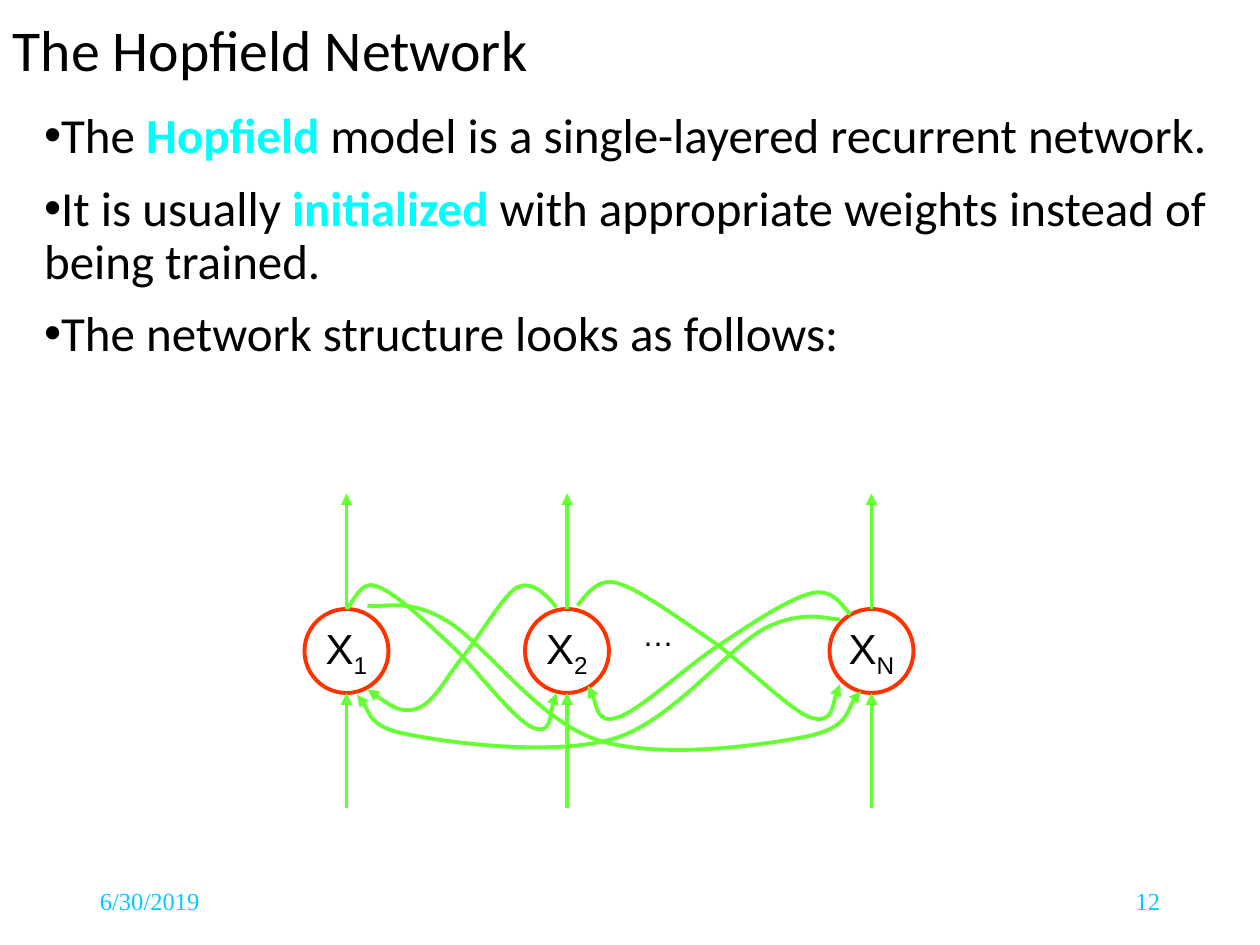
from lxml.etree import SubElement
from pptx import Presentation
from pptx.dml.color import RGBColor
from pptx.enum.shapes import MSO_CONNECTOR, MSO_SHAPE
from pptx.enum.text import MSO_ANCHOR, MSO_AUTO_SIZE, PP_ALIGN
from pptx.oxml.ns import qn
from pptx.util import Pt

COLORS = {"text": "000000", "key": "00FFFF", "footer": "00CCFF",
          "node": "FF3300", "link": "66FF33"}


def set_font(font, name, size, color):
    font.name, font.size = name, Pt(size)
    font.color.rgb = RGBColor.from_string(COLORS[color])


def style_arrow(arrow):
    arrow.line.color.rgb = RGBColor.from_string(COLORS["link"])
    arrow.line.width = Pt(2.25)
    SubElement(arrow.line._get_or_add_ln(), qn("a:tailEnd"), type="triangle")
    properties = arrow._element.spPr
    if properties.find(qn("a:effectLst")) is None:
        SubElement(properties, qn("a:effectLst"))


prs = Presentation()
prs.slide_width, prs.slide_height = Pt(720), Pt(540)
slide = prs.slides.add_slide(prs.slide_layouts[1])
shapes = slide.shapes

# Title
title = shapes.title
title.left, title.top, title.width, title.height = Pt(0), Pt(0), Pt(720), Pt(60)
title.text_frame.text = "The Hopfield Network"
title.text_frame.auto_size = MSO_AUTO_SIZE.NONE
title.text_frame.vertical_anchor = MSO_ANCHOR.MIDDLE
heading = title.text_frame.paragraphs[0]
heading.alignment = PP_ALIGN.LEFT
heading.line_spacing = 0.9
set_font(heading.font, "Calibri", 33, "text")

# Bullets: each is a list of (wording, is key term)
bullets = [
    [("The ", False), ("Hopfield", True),
     (" model is a single-layered recurrent network.", False)],
    [("It is usually ", False), ("initialized", True),
     (" with appropriate weights instead of being trained.", False)],
    [("The network structure looks as follows:", False)],
]
body = slide.placeholders[1]
body.left, body.top, body.width, body.height = Pt(18), Pt(60), Pt(690), Pt(204)
body.text_frame.auto_size = MSO_AUTO_SIZE.NONE
body.text_frame.vertical_anchor = MSO_ANCHOR.TOP
for i, bullet in enumerate(bullets):
    point = body.text_frame.add_paragraph() if i else body.text_frame.paragraphs[0]
    point.line_spacing = 0.9
    point.space_before, point.space_after = Pt(2.8), Pt(8.4)
    set_font(point.font, "Calibri", 28, "text")
    layout = point._p.get_or_add_pPr()
    layout.set("marL", "0")
    layout.set("indent", "0")
    marker = SubElement(layout, qn("a:buChar"), char="•")
    layout.find(qn("a:defRPr")).addprevious(marker)
    for wording, is_key in bullet:
        run = point.add_run()
        run.text = wording
        set_font(run.font, "Calibri", 28, "key" if is_key else "text")
        run.font.bold = is_key

# Date, page number and the ellipsis between the nodes
labels = [
    ("6/30/2019", 50, 500, 162, 29, "Times New Roman", 14, "footer", PP_ALIGN.LEFT, MSO_ANCHOR.MIDDLE),
    ("12", 508, 500, 162, 29, "Times New Roman", 14, "footer", PP_ALIGN.RIGHT, MSO_ANCHOR.MIDDLE),
    ("…", 360, 348, 60, 42, "Arial", 18, "text", PP_ALIGN.LEFT, MSO_ANCHOR.TOP),
]
for wording, x, y, w, h, face, size, color, align, anchor in labels:
    frame = shapes.add_textbox(Pt(x), Pt(y), Pt(w), Pt(h)).text_frame
    frame.word_wrap = True
    frame.vertical_anchor = anchor
    frame.text = wording
    label = frame.paragraphs[0]
    label.alignment = align
    set_font(label.runs[0].font, face, size, color)

# Nodes with an input arrow below and an output arrow above
NODE_TOP, NODE_SIZE, ARROW = 348, 48, 66
NODE_BOTTOM = NODE_TOP + NODE_SIZE
for subscript, center in [("1", 198), ("2", 324), ("N", 498)]:
    node = shapes.add_shape(MSO_SHAPE.OVAL, Pt(center - NODE_SIZE / 2), Pt(NODE_TOP),
                            Pt(NODE_SIZE), Pt(NODE_SIZE))
    node.shadow.inherit = False
    node.fill.background()
    node.line.color.rgb = RGBColor.from_string(COLORS["node"])
    node.line.width = Pt(2.25)
    node.text_frame.word_wrap = False
    node.text_frame.vertical_anchor = MSO_ANCHOR.MIDDLE
    name = node.text_frame.paragraphs[0]
    name.alignment = PP_ALIGN.CENTER
    for wording in ("X", subscript):
        run = name.add_run()
        run.text = wording
        set_font(run.font, "Arial", 24, "text")
    name.runs[1].font._element.set("baseline", "-25000")
    for start in (NODE_BOTTOM + ARROW, NODE_TOP):
        style_arrow(shapes.add_connector(MSO_CONNECTOR.STRAIGHT, Pt(center), Pt(start),
                                         Pt(center), Pt(start - ARROW)))

# Recurrent links: a start point, then three Bezier points per curve piece
links = [
    [(198, 348), (201, 346), (206, 331), (215, 335), (225, 338), (243, 355), (258, 369),
     (272, 382), (294, 412), (305, 416), (315, 420), (315, 400), (318, 396)],
    [(210, 346), (217, 348), (232, 341), (254, 354), (276, 366), (307, 412), (342, 423),
     (377, 434), (435, 426), (460, 421), (485, 416), (485, 400), (492, 395)],
    [(318, 347), (312, 340), (304, 331), (295, 336), (287, 341), (274, 364), (264, 376),
     (255, 387), (248, 402), (238, 405), (229, 408), (220, 401), (210, 394)],
    [(330, 346), (333, 343), (340, 330), (352, 333), (364, 336), (386, 352), (405, 365),
     (423, 377), (450, 405), (463, 410), (476, 414), (477, 395), (480, 391)],
    [(486, 351), (482, 348), (477, 336), (464, 339), (451, 342), (430, 356), (412, 368),
     (393, 380), (366, 406), (353, 410), (341, 414), (340, 396), (336, 392)],
    [(480, 354), (473, 354), (459, 348), (437, 359), (415, 371), (384, 412), (351, 422),
     (318, 432), (260, 425), (235, 420), (211, 416), (210, 402), (204, 397)],
]
for start, *controls in links:
    builder = shapes.build_freeform(*start, scale=Pt(1))
    builder.add_line_segments(controls, close=False)
    link = builder.convert_to_shape()
    link.shadow.inherit = False
    link.fill.background()
    style_arrow(link)
    # Merge every three straight steps into one Bezier piece
    outline = link._element.spPr.find(".//" + qn("a:path"))
    steps = outline.findall(qn("a:lnTo"))
    for first in range(0, len(steps), 3):
        curve = SubElement(outline, qn("a:cubicBezTo"))
        for step in steps[first:first + 3]:
            curve.append(step[0])
            outline.remove(step)

prs.save("out.pptx")
